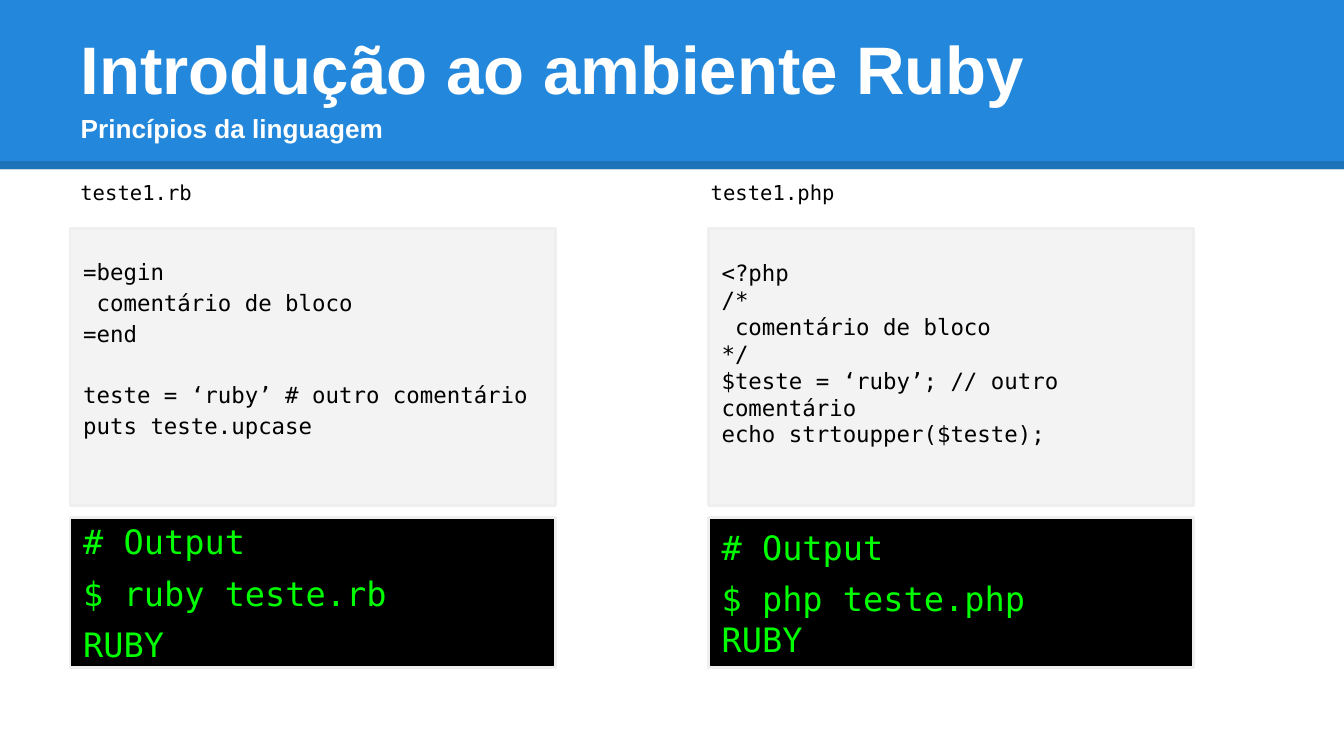
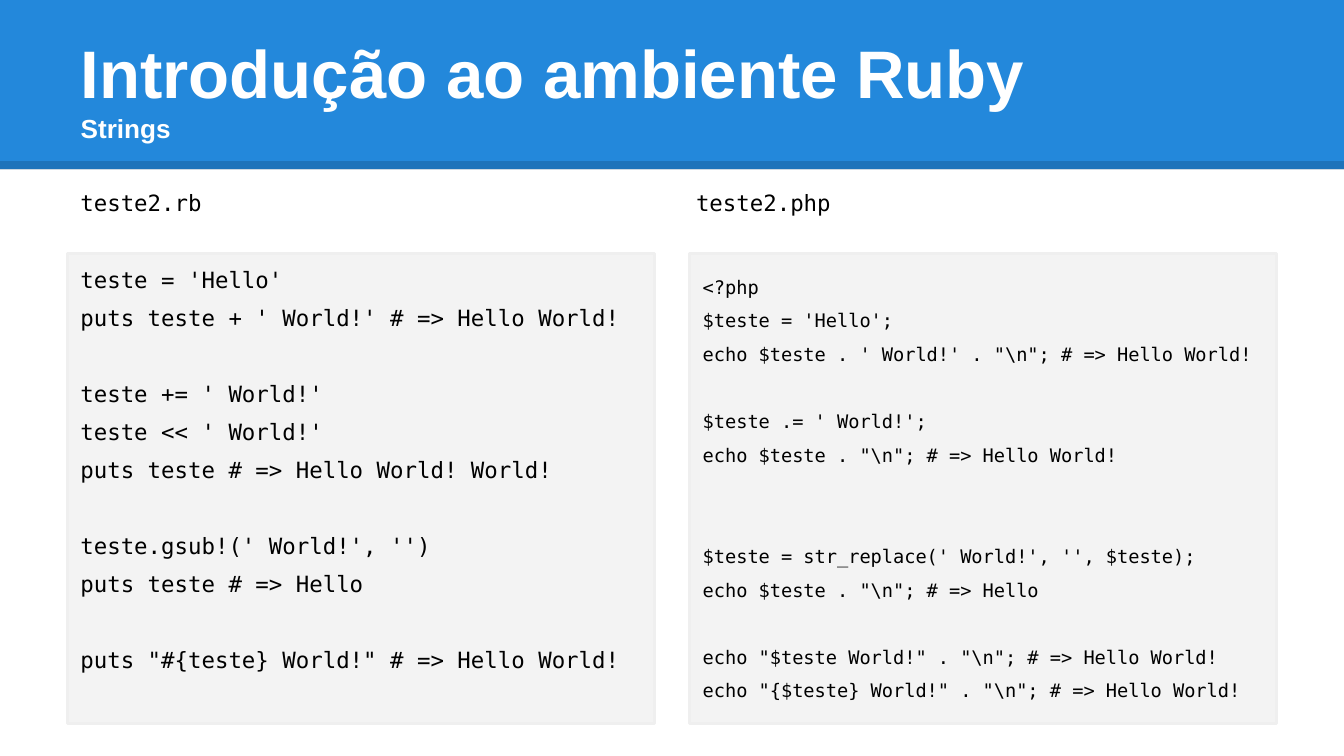
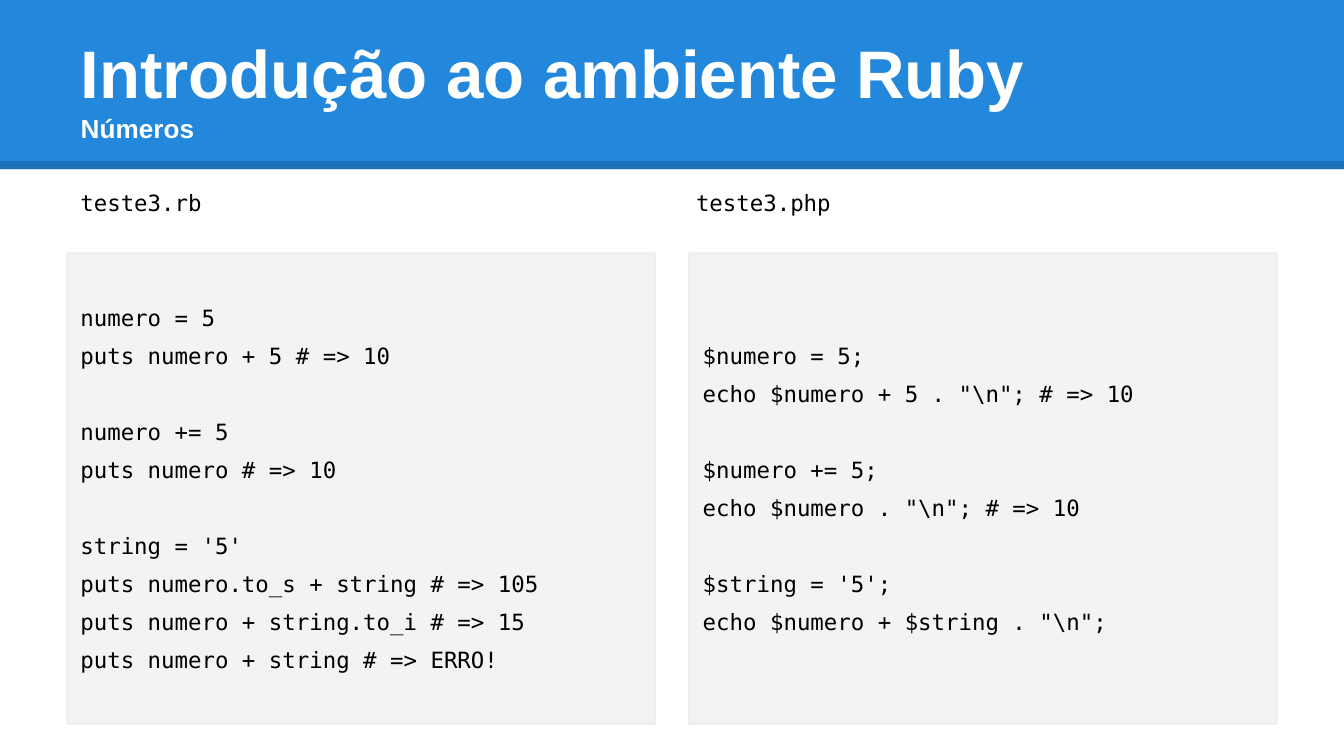
from dataclasses import dataclass
from lxml.etree import SubElement as Sub
from pptx import Presentation
from pptx.dml.color import RGBColor as RGB
from pptx.enum.shapes import MSO_CONNECTOR as LINK, MSO_SHAPE as FORM
from pptx.enum.text import MSO_ANCHOR as ANCHOR, MSO_AUTO_SIZE as FIT, PP_ALIGN as ALIGN
from pptx.oxml.ns import qn
from pptx.util import Pt


@dataclass(frozen=True)
class Theme:
    """Colours, fonts and type sizes of the deck."""
    blue: str = "2388DB"
    white: str = "FFFFFF"
    black: str = "000000"
    grey: str = "F3F3F3"
    edge: str = "EFEFEF"
    green: str = "00FF00"
    sans: str = "Arial"
    mono: str = "DejaVu Sans Mono"
    head: int = 36
    sub: int = 14
    term: int = 18
    code: int = 12
    note: int = 11
    small: int = 10
    inset: float = 7.2
    pitch: float = 1.2


T = Theme()
WIDE, HIGH = 720, 405
TITLE = "Introdução ao ambiente Ruby"

COMMENT_RB = """=begin
 comentário de bloco
=end

teste = ‘ruby’ # outro comentário
puts teste.upcase"""

COMMENT_PHP = """<?php
/*
 comentário de bloco
*/
$teste = ‘ruby’; // outro comentário
echo strtoupper($teste);"""

TEXT_RB = """teste = 'Hello'
puts teste + ' World!' # => Hello World!

teste += ' World!'
teste << ' World!'
puts teste # => Hello World! World!

teste.gsub!(' World!', '')
puts teste # => Hello

puts "#{teste} World!" # => Hello World!"""

TEXT_PHP = r"""<?php
$teste = 'Hello';
echo $teste . ' World!' . "\n"; # => Hello World!

$teste .= ' World!';
echo $teste . "\n"; # => Hello World!


$teste = str_replace(' World!', '', $teste);
echo $teste . "\n"; # => Hello

echo "$teste World!" . "\n"; # => Hello World!
echo "{$teste} World!" . "\n"; # => Hello World!"""

NUMBER_RB = """numero = 5
puts numero + 5 # => 10

numero += 5
puts numero # => 10

string = '5'
puts numero.to_s + string # => 105
puts numero + string.to_i # => 15
puts numero + string # => ERRO!"""

NUMBER_PHP = r"""$numero = 5;
echo $numero + 5 . "\n"; # => 10

$numero += 5;
echo $numero . "\n"; # => 10

$string = '5';
echo $numero + $string . "\n";"""


def points(*values):
    """Turn numbers into point lengths."""
    return [Pt(value) for value in values]


def add_run(para, text, size, color, face=T.mono, bold=False):
    """Add one formatted run to a paragraph."""
    run = para.add_run()
    run.text = text
    font = run.font
    font.name, font.size, font.bold = face, Pt(size), bold
    font.color.rgb = RGB.from_string(color)


def add_break(para, size):
    """Add a line break that keeps the given type size."""
    para.add_line_break()
    Sub(para._p.findall(qn("a:br"))[-1], qn("a:rPr"), sz=str(size * 100))


def set_frame(shape, anchor, tail=0):
    """Set wrapping, insets and anchor, and return the text frame."""
    frame = shape.text_frame
    frame.word_wrap, frame.auto_size = True, FIT.NONE
    frame.vertical_anchor = anchor
    frame.margin_left = frame.margin_right = frame.margin_top = Pt(T.inset)
    frame.margin_bottom = Pt(T.inset + tail)
    return frame


def add_rect(slide, box, fill, edge=None):
    """Draw a flat rectangle."""
    rect = slide.shapes.add_shape(FORM.RECTANGLE, *points(*box))
    rect.shadow.inherit = False
    rect.fill.solid()
    rect.fill.fore_color.rgb = RGB.from_string(fill)
    if edge:
        rect.line.color.rgb = RGB.from_string(edge)
        rect.line.width = Pt(1.5)
    else:
        rect.line.fill.background()
    return rect


def add_rule(slide, top):
    """Draw the faint dark rule under the band."""
    rule = slide.shapes.add_connector(LINK.STRAIGHT, *points(0, top, WIDE, top))
    rule.line.width = Pt(4.5)
    rule.line.color.rgb = RGB.from_string(T.black)
    tint = next(rule._element.spPr.iter(qn("a:srgbClr")))
    Sub(tint, qn("a:alpha"), val="15000")
    Sub(rule._element.spPr, qn("a:effectLst"))
    return rule


def share_band(slide):
    """Draw the header band and move it to the slide layout."""
    parts = add_rect(slide, (0, 0, WIDE, 90.7), T.blue), add_rule(slide, 88.6)
    tree = slide.slide_layout.shapes._spTree
    for place, part in enumerate(parts, 2):
        item = part._element
        item.xpath(".//p:cNvPr")[0].set("id", str(100 + place))
        tree.insert(place, item)


def add_title(slide, topic, lead=1):
    """Fill the title with the deck name and the topic."""
    title = slide.shapes.title
    title.left, title.top, title.width, title.height = points(36, 16.5, 648, 67.7)
    para = set_frame(title, ANCHOR.BOTTOM).paragraphs[0]
    para.alignment, para.line_spacing = ALIGN.LEFT, lead
    add_run(para, TITLE, T.head, T.white, T.sans, True)
    add_break(para, T.head)
    add_run(para, topic, T.sub, T.white, T.sans, True)


def add_label(slide, left, top, text, size):
    """Write a file name above its code."""
    box = slide.shapes.add_textbox(*points(left, top, 314.6, 293))
    para = set_frame(box, ANCHOR.TOP).paragraphs[0]
    add_run(para, text, size, T.black)


def add_code(slide, box, code, size=T.code, gap=6, lead=1, tail=0):
    """Draw a code panel, turning blank lines into space before."""
    rect = add_rect(slide, box, T.grey, T.edge)
    frame = set_frame(rect, ANCHOR.MIDDLE, tail)
    step = size * T.pitch * lead + gap
    para, space = frame.paragraphs[0], gap
    for line in code.split("\n"):
        if not line:
            space += step
            continue
        para = para or frame.add_paragraph()
        para.alignment, para.line_spacing = ALIGN.LEFT, lead
        para.space_before = Pt(space)
        add_run(para, line, size, T.black)
        para, space = None, gap


def add_term(slide, box, blocks):
    """Draw a terminal panel with one paragraph per block."""
    frame = set_frame(add_rect(slide, box, T.black, T.edge), ANCHOR.MIDDLE)
    for index, block in enumerate(blocks):
        para = frame.add_paragraph() if index else frame.paragraphs[0]
        para.alignment, para.space_before = ALIGN.LEFT, Pt(6)
        for row, line in enumerate(block.split("\n")):
            if row:
                add_break(para, T.term)
            add_run(para, line, T.term, T.green)


def new_slide(deck, topic, lead=1):
    """Add a titled slide."""
    slide = deck.slides.add_slide(deck.slide_layouts[5])
    add_title(slide, topic, lead)
    return slide


def fill_basics(slide):
    """Lay out comments and their output in both languages."""
    add_label(slide, 36, 89.3, "teste1.rb", T.note)
    add_label(slide, 373.7, 89.3, "teste1.php", T.note)
    sides = (
        (37.5, COMMENT_RB, 1.15, T.term, ["# Output", "$ ruby teste.rb", "RUBY"]),
        (379.5, COMMENT_PHP, 1, T.code, ["# Output", "$ php teste.php\nRUBY"]),
    )
    for left, code, lead, tail, blocks in sides:
        add_code(slide, (left, 122.4, 260, 148.3), code, T.code, 0, lead, tail * T.pitch)
        add_term(slide, (left, 277.2, 260, 80.6), blocks)


def fill_pair(slide, name, ruby, php, size=T.code, tail=0):
    """Lay out two tall code panels side by side."""
    add_label(slide, 36, 94.3, name + ".rb", T.code)
    add_label(slide, 365.8, 94.3, name + ".php", T.code)
    add_code(slide, (36, 135.8, 314.6, 252), ruby, tail=tail)
    add_code(slide, (369.4, 135.8, 314.6, 252), php, size)


def main():
    """Build and save the deck."""
    deck = Presentation()
    deck.slide_width, deck.slide_height = points(WIDE, HIGH)
    basics = new_slide(deck, "Princípios da linguagem", 1.15)
    share_band(basics)
    fill_basics(basics)
    fill_pair(new_slide(deck, "Strings"), "teste2", TEXT_RB, TEXT_PHP,
              T.small, T.code * T.pitch + 6)
    fill_pair(new_slide(deck, "Números"), "teste3", NUMBER_RB, NUMBER_PHP)
    deck.save("out.pptx")


main()
